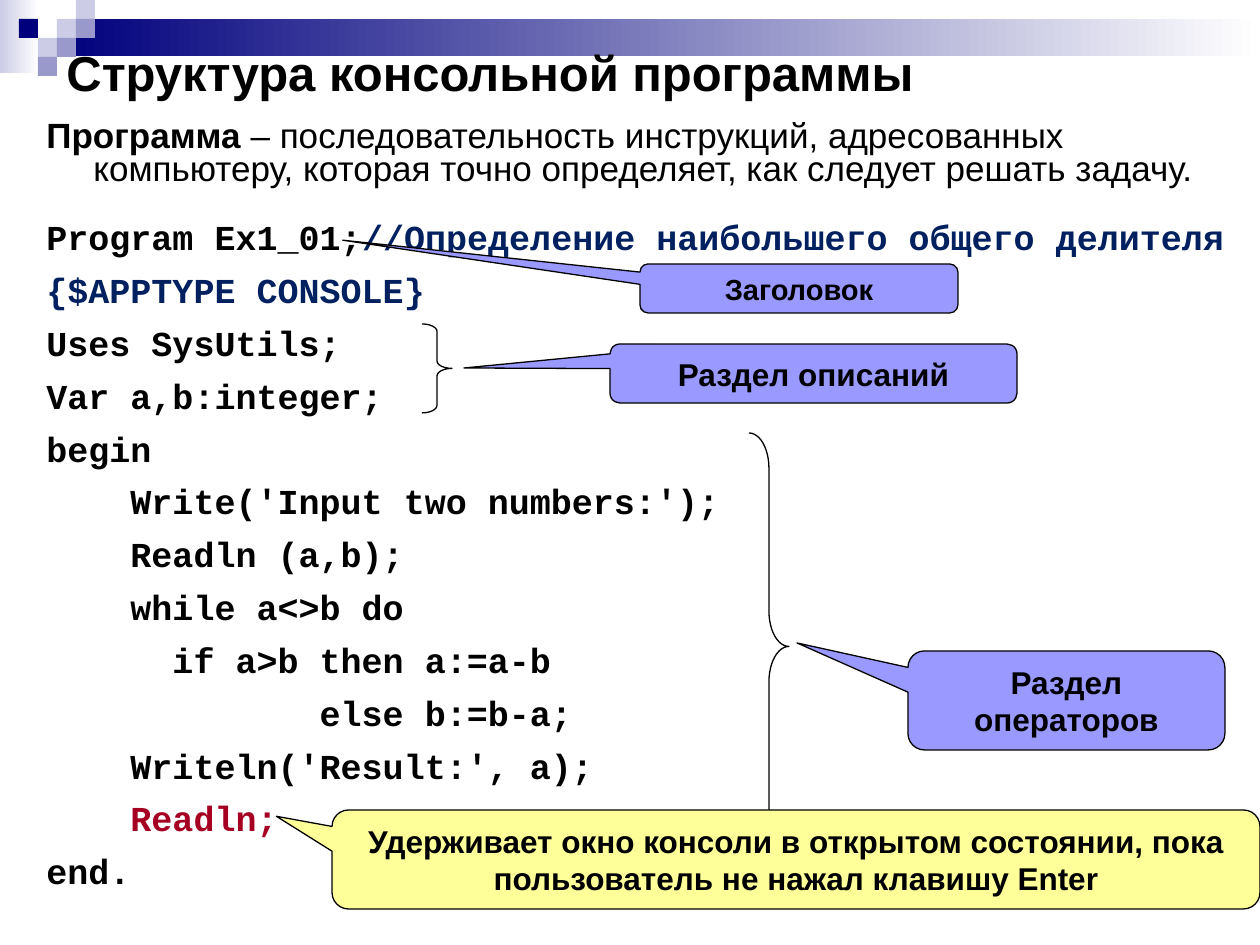
from pptx import Presentation
from pptx.dml.color import RGBColor
from pptx.enum.shapes import MSO_SHAPE as SHAPE
from pptx.enum.text import MSO_ANCHOR as ANCHOR, PP_ALIGN as ALIGN
from pptx.util import Pt

PX = 914400 / 126
NAVY, LILAC, PALE, BLACK = "00007D", "9999CC", "CCCCE6", "000000"
CODE_BLUE, CODE_RED = "002060", "A50021"

prs = Presentation()
prs.slide_width, prs.slide_height = round(1260 * PX), round(945 * PX)
s = prs.slides.add_slide(prs.slide_layouts[6])


def shape(kind, box, fill=None, line=None, grad=None, adj=()):
    sp = s.shapes.add_shape(kind, *[round(v * PX) for v in box])
    sp.shadow.inherit = False
    for i, value in enumerate(adj):
        sp.adjustments[i] = value
    if grad:
        sp.fill.gradient()
        sp.fill.gradient_angle = 0
        for stop, color in zip(sp.fill.gradient_stops, grad):
            stop.color.rgb = RGBColor.from_string(color)
    elif fill:
        sp.fill.solid()
        sp.fill.fore_color.rgb = RGBColor.from_string(fill)
    else:
        sp.fill.background()
    if line:
        sp.line.color.rgb = RGBColor.from_string(line)
        sp.line.width = Pt(0.75)
    else:
        sp.line.fill.background()
    return sp


def add_run(p, text, size=20, color=BLACK, bold=True, font="Arial"):
    r = p.add_run()
    r.text = text
    r.font.size, r.font.bold, r.font.name = Pt(size), bold, font
    r.font.color.rgb = RGBColor.from_string(color)


shape(SHAPE.RECTANGLE, (0, 0, 39, 73), grad=(PALE, "FFFFFF"))
shape(SHAPE.RECTANGLE, (57, 19, 1203, 37), grad=(NAVY, "FFFFFF"))
for col, row, color in [(2, 1, PALE), (3, 0, PALE), (3, 1, LILAC), (1, 2, PALE),
                        (0, 1, NAVY), (2, 2, LILAC), (1, 3, LILAC)]:
    shape(SHAPE.RECTANGLE, (19 + 19 * col, 19 * row, 19, 19), fill=color)

title = s.shapes.add_textbox(*[round(v * PX) for v in (54, 38, 1181, 68)])
tf = title.text_frame
tf.word_wrap = True
tf.vertical_anchor = ANCHOR.MIDDLE
add_run(tf.paragraphs[0], "Структура консольной программы", size=28)

body = s.shapes.add_textbox(*[round(v * PX) for v in (34, 115, 1226, 794)])
tf = body.text_frame
tf.word_wrap = True
p = tf.paragraphs[0]
p.line_spacing = 0.8
pPr = p._p.get_or_add_pPr()
pPr.set("marL", str(round(47 * PX)))
pPr.set("indent", str(round(-47 * PX)))
add_run(p, "Программа")
add_run(p, " – последовательность инструкций, адресованных компьютеру, "
           "которая точно определяет, как следует решать задачу.", bold=False)

code = [
    [("Program Ex1_01;", BLACK), ("//Определение наибольшего общего делителя", CODE_BLUE)],
    [("{$APPTYPE CONSOLE}", CODE_BLUE)],
    [("Uses SysUtils;", BLACK)],
    [("Var a,b:integer;", BLACK)],
    [("begin", BLACK)],
    [("    Write('Input two numbers:');", BLACK)],
    [("    Readln (a,b);", BLACK)],
    [("    while a<>b do", BLACK)],
    [("      if a>b then a:=a-b", BLACK)],
    [("             else b:=b-a;", BLACK)],
    [("    Writeln('Result:', a);", BLACK)],
    [("    Readln;", CODE_RED)],
    [("end.", BLACK)],
]
for i, runs in enumerate(code):
    p = tf.add_paragraph()
    p.line_spacing = 1.05
    p.space_before = Pt(5 if i else 14.4)
    for text, color in runs:
        add_run(p, text, color=color, font="Courier New")

for box, curve in [((422, 324, 30, 89), 0.25), ((749, 433, 40, 427), 0.88)]:
    shape(SHAPE.RIGHT_BRACE, box, line=BLACK, adj=(curve, 0.5))

callouts = [
    ("Заголовок", (640, 264, 318, 49), "9999FF", (-1.435, -0.985), 16.6),
    ("Раздел описаний", (610, 344, 407, 59), "9999FF", (-0.859, -0.093), 18),
    ("Раздел операторов", (908, 651, 317, 99), "9999FF", (-0.85, -0.581), 18),
    ("Удерживает окно консоли в открытом состоянии, пока пользователь не нажал клавишу Enter",
     (332, 810, 928, 99), "FFFF99", (-0.56, -0.436), 18),
]
for text, box, fill, tip, size in callouts:
    sp = shape(SHAPE.ROUNDED_RECTANGULAR_CALLOUT, box, fill=fill, line=BLACK, adj=(*tip, 0.167))
    tf = sp.text_frame
    tf.word_wrap = True
    tf.vertical_anchor = ANCHOR.MIDDLE
    p = tf.paragraphs[0]
    p.alignment = ALIGN.CENTER
    add_run(p, text, size=size)

prs.save("out.pptx")
